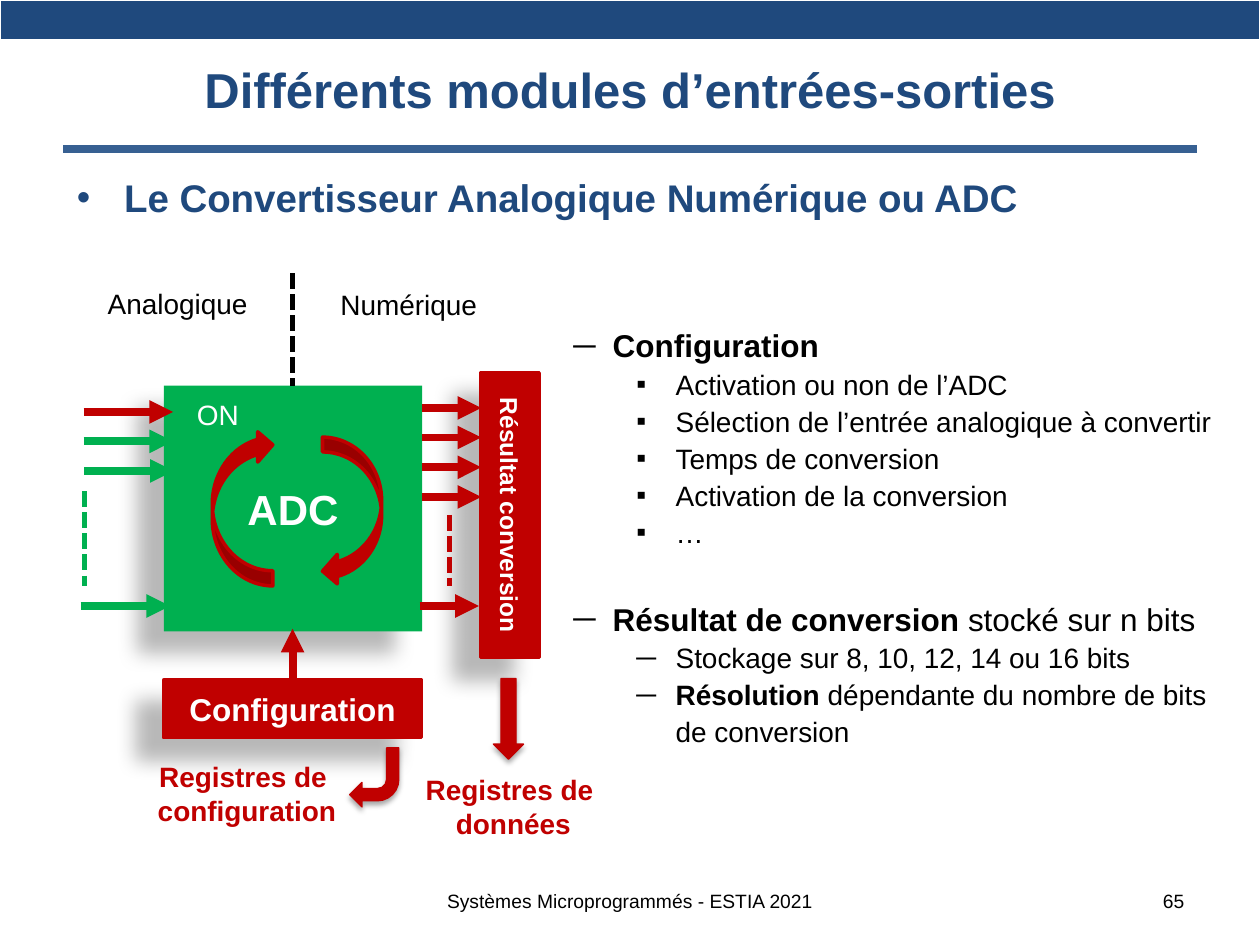
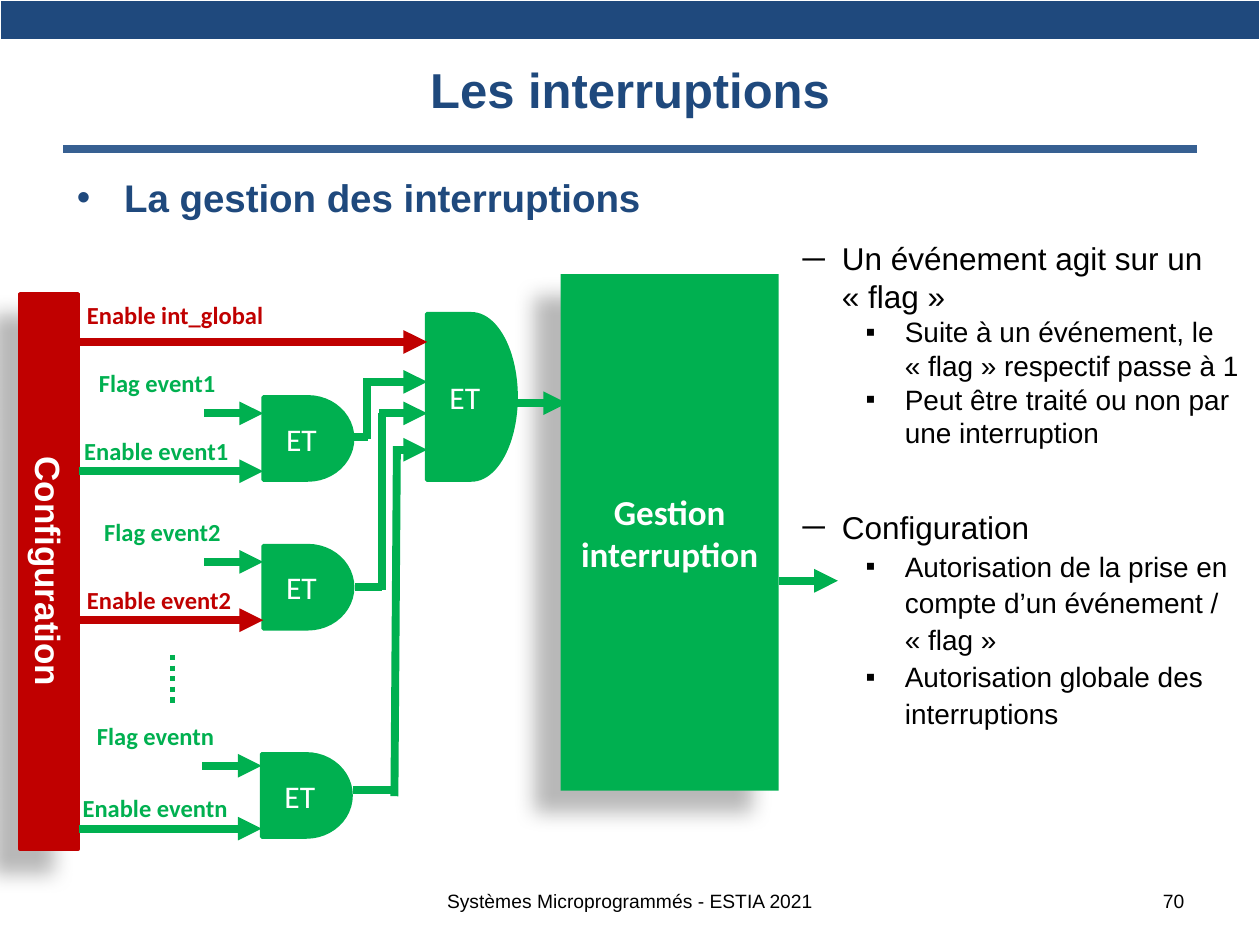
from lxml import etree
from pptx import Presentation
from pptx.dml.color import RGBColor
from pptx.enum.dml import MSO_LINE
from pptx.enum.shapes import MSO_CONNECTOR, MSO_SHAPE as SHAPE
from pptx.enum.text import MSO_ANCHOR, MSO_AUTO_SIZE, PP_ALIGN as ALIGN
from pptx.oxml.ns import qn
from pptx.util import Pt

COLORS = {
    "navy": "1F497D",
    "blue": "376092",
    "green": "00B050",
    "red": "C00000",
    "white": "FFFFFF",
    "black": "000000",
}
RGB = {name: RGBColor.from_string(value) for name, value in COLORS.items()}

BLOCK_SHADOW = (28, 11.8, 19.7, 141)
ARROW_SHADOW = (35, 3.1, 1.8, 90)

LIST_STYLES = {
    "heading": {"level": 0, "margin": 27, "hanging": 27, "size": 22, "color": "navy"},
    "topic": {"level": 0, "margin": 22.5, "hanging": 22.5, "size": 18, "color": "black"},
    "detail": {"level": 1, "margin": 58.5, "hanging": 22.5, "size": 16, "color": "black"},
}

NO_BREAK_SPACE = chr(160)
FLAG = NO_BREAK_SPACE.join(["«", "flag", "»"])


def add_box(slide, preset, box, fill=None, lines=(), size=16, color="white", bold=True,
            font="Arial", align=ALIGN.CENTER, border=None, shadow=None, rotation=0):
    lengths = [Pt(length) for length in box]
    if preset is None:
        shape = slide.shapes.add_textbox(*lengths)
    else:
        shape = slide.shapes.add_shape(preset, *lengths)
        shape.rotation = rotation
        shape.fill.solid()
        shape.fill.fore_color.rgb = RGB[fill]
        if border:
            shape.line.color.rgb = RGB[fill]
            shape.line.width = Pt(border)
        else:
            shape.line.fill.background()
        shape.shadow.inherit = False
    if shadow:
        opacity, blur, distance, angle = shadow
        effects = shape.element.spPr.find(qn("a:effectLst"))
        outer = etree.SubElement(
            effects, qn("a:outerShdw"), blurRad=str(Pt(blur)), dist=str(Pt(distance)),
            dir=str(angle * 60000), algn="ctr", rotWithShape="0")
        shade = etree.SubElement(outer, qn("a:srgbClr"), val=COLORS["black"])
        etree.SubElement(shade, qn("a:alpha"), val=str(opacity * 1000))
    frame = shape.text_frame
    frame.margin_left = frame.margin_right = 0
    frame.word_wrap = True
    frame.vertical_anchor = MSO_ANCHOR.MIDDLE
    for index, line in enumerate(lines):
        paragraph = frame.add_paragraph() if index else frame.paragraphs[0]
        paragraph.alignment = align
        run = paragraph.add_run()
        run.text = line
        run.font.name = font
        run.font.size = Pt(size)
        run.font.bold = bold
        run.font.color.rgb = RGB[color]


def add_line(slide, x1, y1, x2, y2, color, width=4.5, dash=None, arrow=False):
    connector = slide.shapes.add_connector(
        MSO_CONNECTOR.STRAIGHT, Pt(x1), Pt(y1), Pt(x2), Pt(y2))
    connector.line.color.rgb = RGB[color]
    connector.line.width = Pt(width)
    if dash:
        connector.line.dash_style = dash
    properties = connector.element.spPr
    if arrow:
        etree.SubElement(properties.find(qn("a:ln")), qn("a:tailEnd"), type="triangle")
    etree.SubElement(properties, qn("a:effectLst"))


presentation = Presentation()
presentation.slide_width = Pt(720)
presentation.slide_height = Pt(540)

adc_list = [
    ("topic", "─", 1.1, 0, [("Configuration", True)]),
    ("detail", "▪", 1.1, 0, [("Activation ou non de l’ADC", False)]),
    ("detail", "▪", 1.1, 0, [("Sélection de l’entrée analogique à convertir", False)]),
    ("detail", "▪", 1.1, 0, [("Temps de conversion", False)]),
    ("detail", "▪", 1.1, 0, [("Activation de la conversion", False)]),
    ("detail", "▪", 1.1, 0, [("…", False)]),
    ("topic", "─", 1.1, 27, [("Résultat de conversion ", True), ("stocké sur n bits", False)]),
    ("detail", "─", 1.1, 0, [("Stockage sur 8, 10, 12, 14 ou 16 bits", False)]),
    ("detail", "─", 1.1, 0, [("Résolution", True),
                             (" dépendante du nombre de bits de conversion", False)]),
]
interrupt_list = [
    ("topic", "─", 1.0, 0, [(f"Un événement agit sur un {FLAG}", False)]),
    ("detail", "▪", 1.0, 0, [(f"Suite à un événement, le {FLAG} respectif passe à 1", False)]),
    ("detail", "▪", 1.0, 0, [("Peut être traité ou non par une interruption", False)]),
    ("topic", "─", 1.0, 33.5, [("Configuration", False)]),
    ("detail", "▪", 1.1, 0, [(f"Autorisation de la prise en compte d’un événement / {FLAG}",
                              False)]),
    ("detail", "▪", 1.1, 0, [("Autorisation globale des interruptions", False)]),
]
pages = [
    ("Différents modules d’entrées-sorties", "Le Convertisseur Analogique Numérique ou ADC",
     "65", (320.4, 180.7, 385.2, 253.4), adc_list),
    ("Les interruptions", "La gestion des interruptions",
     "70", (451.4, 133.2, 272.2, 295.2), interrupt_list),
]

for title, heading, number, list_box, items in pages:
    slide = presentation.slides.add_slide(presentation.slide_layouts[3])
    title_shape, heading_shape, list_shape = slide.placeholders
    heading_items = [("heading", "•", 1.0, 0, [(heading, True)])]

    for shape, box in [(title_shape, (36, 12.2, 648, 77.8)),
                       (heading_shape, (36.7, 95.8, 652.3, 49.7)),
                       (list_shape, list_box)]:
        shape.left, shape.top, shape.width, shape.height = [Pt(length) for length in box]
        shape.text_frame.auto_size = MSO_AUTO_SIZE.NONE

    title_shape.text_frame.vertical_anchor = MSO_ANCHOR.MIDDLE
    paragraph = title_shape.text_frame.paragraphs[0]
    paragraph.alignment = ALIGN.CENTER
    run = paragraph.add_run()
    run.text = title
    run.font.name = "Arial"
    run.font.size = Pt(28)
    run.font.bold = True
    run.font.color.rgb = RGB["navy"]

    for shape, entries in [(heading_shape, heading_items), (list_shape, items)]:
        frame = shape.text_frame
        for index, (style_name, bullet, spacing, before, runs) in enumerate(entries):
            style = LIST_STYLES[style_name]
            paragraph = frame.add_paragraph() if index else frame.paragraphs[0]
            paragraph.level = style["level"]
            properties = paragraph._p.get_or_add_pPr()
            properties.set("marL", str(Pt(style["margin"])))
            properties.set("indent", str(-Pt(style["hanging"])))
            bullet_color = etree.SubElement(properties, qn("a:buClr"))
            etree.SubElement(bullet_color, qn("a:srgbClr"), val=COLORS[style["color"]])
            etree.SubElement(properties, qn("a:buFont"), typeface="Arial")
            etree.SubElement(properties, qn("a:buChar"), char=bullet)
            paragraph.line_spacing = spacing
            paragraph.space_before = Pt(before)
            for text, bold in runs:
                run = paragraph.add_run()
                run.text = text
                run.font.name = "Arial"
                run.font.size = Pt(style["size"])
                run.font.bold = bold
                run.font.color.rgb = RGB[style["color"]]

    band = slide.shapes.add_table(1, 1, 0, 0, Pt(720), Pt(22.6)).table
    band.first_row = band.horz_banding = False
    cell = band.cell(0, 0)
    cell.fill.solid()
    cell.fill.fore_color.rgb = RGB["navy"]
    cell.margin_top = cell.margin_bottom = 0
    cell.text_frame.paragraphs[0].font.size = Pt(10)

    add_line(slide, 36, 85, 684, 85, "blue")
    add_box(slide, None, (203.8, 500.4, 312.5, 28.8), size=11, color="black", bold=False,
            lines=["Systèmes Microprogrammés - ESTIA 2021"])
    add_box(slide, None, (516.2, 500.4, 160.6, 28.8), size=11, color="black", bold=False,
            lines=[number], align=ALIGN.RIGHT)

adc_slide, interrupt_slide = presentation.slides

add_box(adc_slide, SHAPE.RECTANGLE, (93.6, 220.4, 147.6, 140.4), "green", ["ADC"], 24,
        shadow=BLOCK_SHADOW)
for label, box in [("Analogique", (54, 159.8, 95, 26.6)),
                   ("Numérique", (186.8, 160.6, 93.6, 26.6))]:
    add_box(adc_slide, None, box, lines=[label], color="black", bold=False)
add_box(adc_slide, SHAPE.RECTANGLE, (93.6, 388.5, 147.2, 33.1), "red", ["Configuration"], 18,
        border=2, shadow=BLOCK_SHADOW)
add_box(adc_slide, SHAPE.RECTANGLE, (210, 277.6, 162.7, 33.6), "red",
        ["Résultat conversion"], 14, border=2, shadow=BLOCK_SHADOW, rotation=90)

for output_y in [233.1, 250, 267, 284]:
    add_line(adc_slide, 241.2, output_y, 275, output_y, "red", arrow=True)
add_line(adc_slide, 239.8, 346.3, 273.6, 346.3, "red", arrow=True)
for input_x, input_y, color in [(47.8, 235.4, "red"), (47.8, 252.2, "green"),
                                (48.2, 269.1, "green"), (46.1, 346.3, "green")]:
    add_line(adc_slide, input_x, input_y, input_x + 51.1, input_y, color, arrow=True)
add_line(adc_slide, 167.2, 393.1, 167.2, 359.3, "red", arrow=True)
for x, top, bottom, color in [(257, 294.2, 334.8, "red"), (167.2, 156.2, 220.4, "black"),
                              (48.2, 280.8, 334.8, "green")]:
    add_line(adc_slide, x, top, x, bottom, color, 3, MSO_LINE.SQUARE_DOT)

for box, rotation in [((184.3, 249.8, 33.8, 85), 0), ((121.3, 245.5, 34.6, 89.3), 180)]:
    add_box(adc_slide, SHAPE.CURVED_LEFT_ARROW, box, "red", border=2, rotation=rotation)
add_box(adc_slide, SHAPE.RECTANGLE, (105.1, 223.6, 38.9, 26.6), "green", ["ON"], bold=False)
for preset, box, rotation in [(SHAPE.RIGHT_ARROW, (267.5, 402.2, 46.1, 17.3), 90),
                              (SHAPE.BENT_ARROW, (199.8, 427.3, 28.1, 33.8), 180)]:
    add_box(adc_slide, preset, box, "red", border=0.75, shadow=ARROW_SHADOW,
            rotation=rotation)
for register, box in [("données", (235.4, 437.8, 115.9, 46.1)),
                      ("configuration", (82.1, 430.2, 118.1, 46.1))]:
    add_box(adc_slide, None, box, lines=["Registres de ", register], color="red")

add_box(interrupt_slide, SHAPE.RECTANGLE, (320.4, 156.7, 124.6, 295.2), "green",
        ["Gestion interruption"], 20, font="Calibri", shadow=BLOCK_SHADOW)
add_box(interrupt_slide, SHAPE.RECTANGLE, (-130.7, 310, 317.5, 33.1), "red",
        ["Configuration"], 20, border=2, shadow=BLOCK_SHADOW, rotation=90)

gates = [(150.4, 226.8, 51.1, 47.5), (150.4, 311.8, 51.1, 47.5),
         (149.5, 430.8, 51.1, 47.5), (243.8, 179.3, 51.1, 95)]
for gate in gates:
    add_box(interrupt_slide, SHAPE.FLOWCHART_DELAY, gate, "green", ["ET"], 18, bold=False,
            font="Calibri", border=2)

events = [("event1", "green", 56.5, 206.6, 236.2, 48.1, 269.3),
          ("event2", "red", 59.5, 291.6, 321.1, 49.7, 354.4),
          ("eventn", "green", 55.4, 407.9, 437.6, 47.2, 473.5)]
for (gate_left, gate_top, _, _), event in zip(gates, events):
    name, enable_color, flag_x, flag_label_y, flag_y, enable_x, enable_y = event
    for label, x, y, color in [("Flag ", flag_x, flag_label_y, "green"),
                               ("Enable ", enable_x, gate_top + 18.4, enable_color)]:
        add_box(interrupt_slide, None, (x, y, 101.5, 24.5), lines=[label + name], size=14,
                color=color, font="Calibri", align=ALIGN.LEFT)
    add_line(interrupt_slide, gate_left - 33.8, flag_y, gate_left, flag_y, "green", arrow=True)
    add_line(interrupt_slide, 45, enable_y, gate_left, enable_y, enable_color, arrow=True)

add_box(interrupt_slide, None, (49.7, 167.8, 115.9, 24.5), lines=["Enable int_global"], size=14,
        color="red", font="Calibri", align=ALIGN.LEFT)
add_line(interrupt_slide, 45.4, 195.4, 244.1, 195.4, "red", arrow=True)
add_line(interrupt_slide, 98.6, 374.4, 98.6, 402.5, "green", 3, MSO_LINE.ROUND_DOT)

for x1, x2, y in [(209.5, 244.1, 218.2), (216.7, 244.1, 236.2), (226.8, 244.1, 257),
                  (294.5, 324, 230.4), (445, 478.8, 331.9)]:
    add_line(interrupt_slide, x1, y, x2, y, "green", arrow=True)
for wire in [(195.8, 249.8, 210.2, 249.8), (209.5, 250.6, 209.5, 216),
             (203, 335.5, 218.2, 335.5), (218.2, 337, 218.2, 236.2),
             (201.6, 451.4, 225.4, 451.4), (225.4, 455, 226.8, 254.9)]:
    add_line(interrupt_slide, *wire, "green")

presentation.save("out.pptx")
